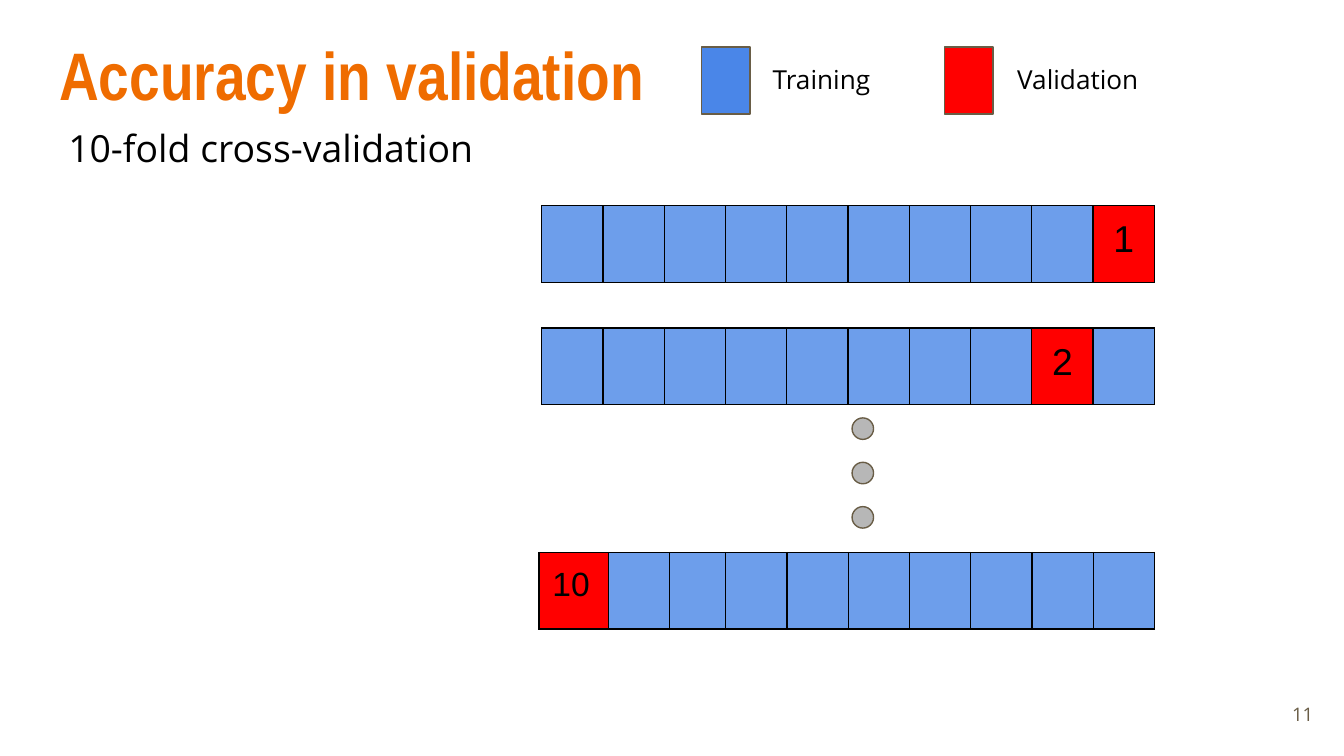
from lxml.etree import SubElement
from pptx import Presentation
from pptx.dml.color import RGBColor
from pptx.enum.shapes import MSO_SHAPE as Shape
from pptx.enum.text import MSO_ANCHOR as Anchor, MSO_AUTO_SIZE as AutoSize, PP_ALIGN as Align
from pptx.oxml.ns import qn
from pptx.util import Inches, Pt

SLIDE_WIDTH = 10
SLIDE_HEIGHT = SLIDE_WIDTH * 9 / 16
TITLE = "Accuracy in validation"
LABELS = [
    ("10-fold cross-validation", (0.41, 0.83, 3.54, 0.57), 20),
    ("Training", (5.65, 0.37, 1.62, 0.39), 14),
    ("Validation", (7.47, 0.37, 1.62, 0.39), 14),
]
PAGE_NUMBER = ("11", (9.27, 5.1, 0.6, 0.43), 10)
FOLDS = 10
FOLD_WIDTH, FOLD_HEIGHT = 4.56 / FOLDS, 0.57
EVEN = [FOLD_WIDTH] * FOLDS
WIDE_FIRST = [0.52, 0.45, 0.42] + [FOLD_WIDTH] * (FOLDS - 3)
SPLITS = [
    (1, 4.03, 1.53, EVEN, 20, Align.CENTER),
    (2, 4.03, 2.44, EVEN, 20, Align.CENTER),
    (10, 4.01, 4.11, WIDE_FIRST, 18, Align.LEFT),
]
SWATCHES = [(5.22, "4A86E8"), (7.03, "FF0000")]
DOT_LEFT, DOT_TOP, DOT_STEP, DOT_SIZE, DOT_COUNT = 6.34, 3.11, 0.33, 0.16, 3
TRAINING, VALIDATION, BLACK, OLIVE = "6D9EEB", "FF0000", "000000", "695D46"


def paint(fill, color):
    fill.solid()
    fill.fore_color.rgb = RGBColor.from_string(color)


def write(frame, text, size, font="Open Sans", color=BLACK, bold=False, align=Align.LEFT):
    frame.text = text
    para = frame.paragraphs[0]
    para.alignment = align
    style = para.runs[0].font
    style.name, style.size, style.bold = font, Pt(size), bold
    paint(style.fill, color)


def pad(holder):
    holder.margin_left = holder.margin_right = Inches(0.1)
    holder.margin_top = holder.margin_bottom = Inches(0.1)


def add_label(page, text, place, size, **style):
    frame = page.shapes.add_textbox(*map(Inches, place)).text_frame
    frame.word_wrap = True
    pad(frame)
    write(frame, text, size, **style)
    return frame


def add_marker(page, kind, place, color):
    marker = page.shapes.add_shape(kind, *map(Inches, place))
    marker.shadow.inherit = False
    paint(marker.fill, color)
    paint(marker.line.fill, OLIVE)
    marker.line.width = Pt(0.75)


def add_borders(cell):
    properties = cell._tc.get_or_add_tcPr()
    for index, side in enumerate(("lnL", "lnR", "lnT", "lnB")):
        line = properties.makeelement(qn(f"a:{side}"), {"w": str(Pt(0.75))})
        SubElement(SubElement(line, qn("a:solidFill")), qn("a:srgbClr"), val=BLACK)
        properties.insert(index, line)


def add_split(page, fold, left, top, widths, size, align):
    place = (left, top, sum(widths), FOLD_HEIGHT)
    table = page.shapes.add_table(1, FOLDS, *map(Inches, place)).table
    table.first_row = table.horz_banding = False
    for index, width in enumerate(widths):
        table.columns[index].width = Inches(width)
        cell = table.cell(0, index)
        held_out = index == FOLDS - fold
        paint(cell.fill, VALIDATION if held_out else TRAINING)
        add_borders(cell)
        pad(cell)
        if held_out:
            write(cell.text_frame, str(fold), size, font="Arial", align=align)


def main():
    """Build the cross-validation slide and save it."""
    deck = Presentation()
    deck.slide_width, deck.slide_height = Inches(SLIDE_WIDTH), Inches(SLIDE_HEIGHT)
    page = deck.slides.add_slide(deck.slide_layouts[5])

    title = page.shapes.title
    title.left, title.top, title.width, title.height = map(Inches, (0.34, 0.15, 9.32, 0.77))
    frame = title.text_frame
    frame.auto_size, frame.vertical_anchor = AutoSize.NONE, Anchor.TOP
    pad(frame)
    write(frame, TITLE, 36, font="Arial Narrow", color="EF6C00", bold=True)

    number = add_label(page, *PAGE_NUMBER, color=OLIVE, align=Align.RIGHT)
    number.vertical_anchor = Anchor.MIDDLE
    for split in SPLITS:
        add_split(page, *split)
    for index in range(DOT_COUNT):
        place = (DOT_LEFT, DOT_TOP + index * DOT_STEP, DOT_SIZE, DOT_SIZE)
        add_marker(page, Shape.FLOWCHART_CONNECTOR, place, "B7B7B7")
    for left, color in SWATCHES:
        add_marker(page, Shape.RECTANGLE, (left, 0.35, 0.36, 0.5), color)
    for label in LABELS:
        add_label(page, *label)
    deck.save("out.pptx")


if __name__ == "__main__":
    main()
